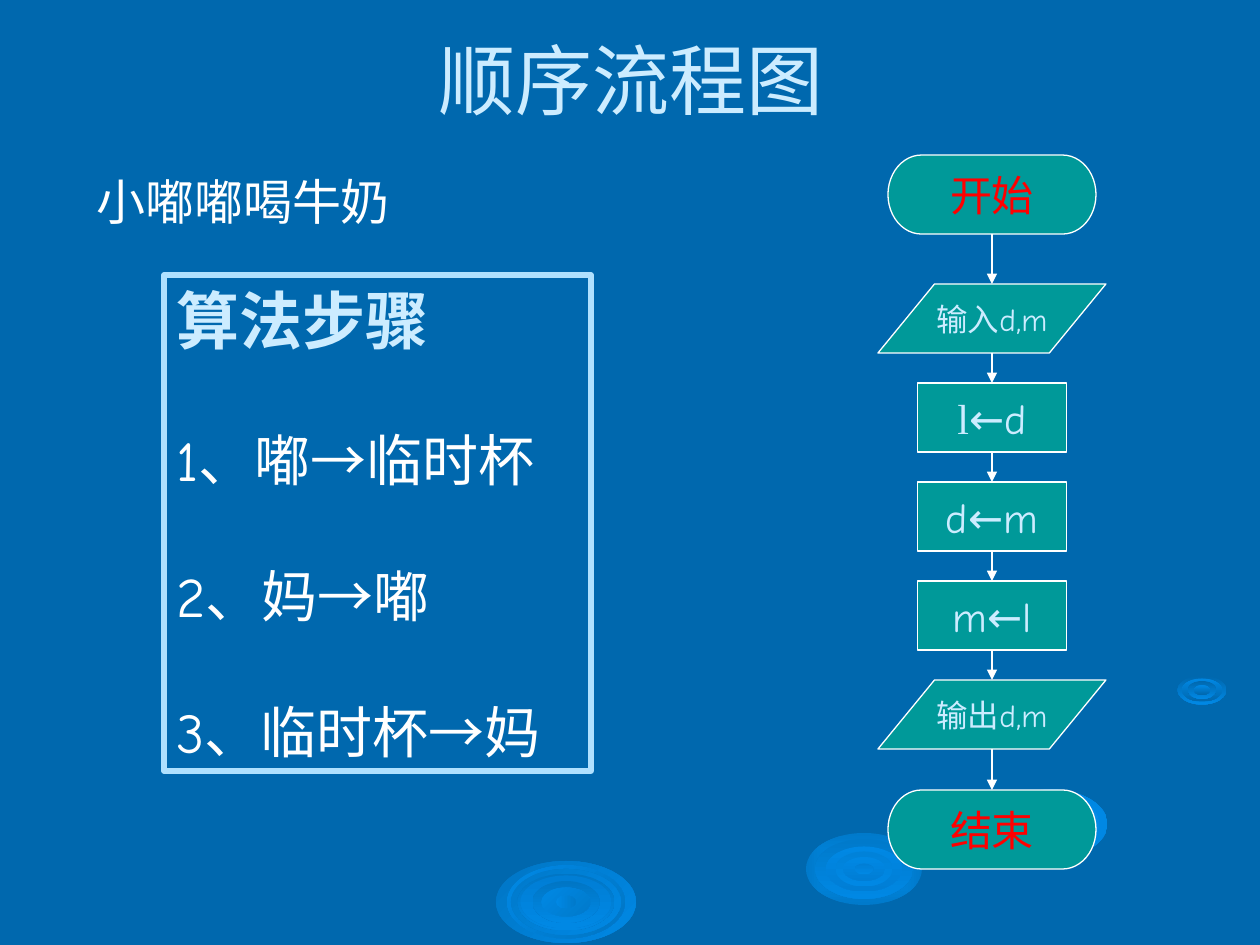
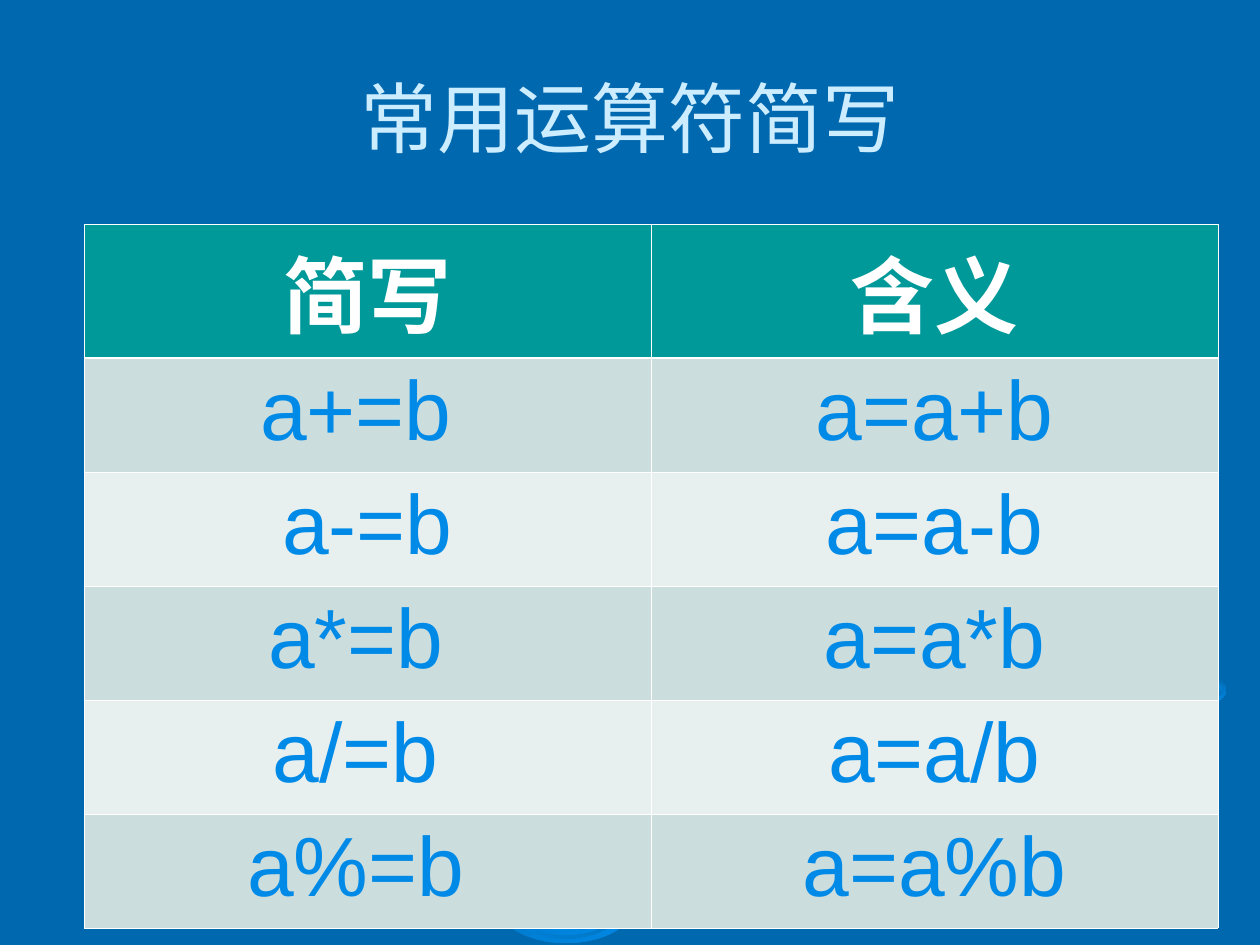
from dataclasses import dataclass
from itertools import pairwise

from lxml.etree import SubElement
from pptx import Presentation
from pptx.dml.color import RGBColor
from pptx.enum.shapes import MSO_CONNECTOR, MSO_SHAPE
from pptx.enum.text import MSO_ANCHOR, PP_ALIGN
from pptx.oxml import parse_xml
from pptx.oxml.ns import nsdecls, qn
from pptx.util import Emu, Pt


@dataclass(frozen=True)
class Theme:
    background: str = "0068AE"
    title: str = "CCECFF"
    body: str = "FFFFFF"
    accent: str = "009999"
    alert: str = "FF0000"
    frame: str = "AFE1FF"
    formula: str = "008AE8"
    bands: tuple = ("CBDDDD", "E7EFEF")
    title_font: str = "Arial"
    body_font: str = "Comic Neue"
    serif_font: str = "Times New Roman"
    title_size: int = 44
    table_size: int = 48
    heading_size: int = 36
    step_size: int = 32
    topic_size: int = 28
    node_size: int = 24
    data_size: int = 18
    thin: float = 0.75
    thick: float = 3
    cell_line: float = 0.45
    header_line: float = 1.47


THEME = Theme()
SLIDE_SIZE = (1260, 945)
TITLE_SIZE = (1134, 158)

SEQUENCE_TITLE = "顺序流程图"
TOPIC = "小嘟嘟喝牛奶"
STEPS_HEADING = "算法步骤"
STEPS = ["1、嘟→临时杯", "2、妈→嘟", "3、临时杯→妈"]

# Node: kind, top, list of (text, font)
FLOW_CENTRE = 992
FLOW = [
    ("terminal", 155, [("开始", THEME.serif_font)]),
    ("data", 284, [("输入d,m", THEME.body_font)]),
    ("process", 383, [("l", THEME.serif_font), ("←d", THEME.body_font)]),
    ("process", 482, [("d←m", THEME.body_font)]),
    ("process", 581, [("m←l", THEME.body_font)]),
    ("data", 680, [("输出d,m", THEME.body_font)]),
    ("terminal", 790, [("结束", THEME.serif_font)]),
]
# Kind: preset, width, height, type size, text colour
NODE_KINDS = {
    "terminal": (MSO_SHAPE.FLOWCHART_TERMINATOR, 208, 79, THEME.node_size, THEME.alert),
    "data": (MSO_SHAPE.PARALLELOGRAM, 228, 69, THEME.data_size, THEME.title),
    "process": (MSO_SHAPE.FLOWCHART_PROCESS, 149, 69, THEME.node_size, THEME.title),
}

OPERATOR_TITLE = "常用运算符简写"
OPERATORS = [
    ("简写", "含义"),
    ("a+=b ", "a=a+b"),
    ("a-=b", "a=a-b"),
    ("a*=b ", "a=a*b"),
    ("a/=b ", "a=a/b"),
    ("a%=b ", "a=a%b"),
]
COLUMN_WIDTH = 567
HEADER_HEIGHT, ROW_HEIGHT = 134, 114

# Ripple: centre, then rings of (width, height, first colour, last colour, angle);
# an angle of None makes the gradient spread from the centre.
RIPPLES = [
    ((864, 869), [
        (116, 72, "0088E4", "007ACB", None),
        (98, 60, "007ACB", "0088E4", 90),
        (76, 45, "0088E4", "007ED5", 90),
        (57, 35, "0082D9", "0088E4", 90),
        (42, 24, "0088E4", "007ED5", 90),
        (19, 11, "007ED5", "0088E4", 90),
    ]),
    ((566, 902), [
        (140, 82, "0076C5", "0088E4", 45),
        (118, 73, "0088E4", "0076C5", 45),
        (110, 66, "007ACB", "0088E4", 45),
        (97, 57, "0076C5", "0088E4", 90),
        (91, 53, "007ED5", "0088E4", 90),
        (67, 42, "0076C5", "0088E4", 90),
        (49, 29, "0088E4", "007ACB", 45),
        (20, 13, "0088E4", "007ACB", 0),
    ]),
    ((1051, 824), [
        (113, 69, "007ED5", "0088E4", 0),
        (97, 59, "0A8CE5", "0088E4", 90),
        (84, 50, "0088E4", "007ED5", 90),
        (66, 39, "007ED5", "0088E4", 90),
        (49, 30, "0088E4", "007ED5", 90),
        (28, 18, "0082D9", "0088E4", 90),
    ]),
    ((1202, 690), [
        (49, 29, "0068AE", "0088E4", 90),
        (40, 23, "0088E4", "0068AE", 90),
        (28, 18, "0068AE", "0088E4", 90),
        (16, 10, "0088E4", "0068AE", 90),
    ]),
]


def px(length):
    return Emu(round(length * 914400 / 126))


def rgb(colour):
    return RGBColor.from_string(colour)


def add_span(para, text, font, size, colour, bold=False):
    span = para.add_run()
    span.text = text
    span.font.name = font
    span.font.size = Pt(size)
    span.font.bold = bold
    span.font.color.rgb = rgb(colour)


def set_line(line, colour, width):
    line.color.rgb = rgb(colour)
    line.width = Pt(width)


def add_box(page, left, top, width, height):
    box = page.shapes.add_textbox(px(left), px(top), px(width), px(height))
    box.text_frame.word_wrap = True
    return box


def add_centred_shape(page, preset, centre, middle, width, height):
    shape = page.shapes.add_shape(
        preset, px(centre - width / 2), px(middle - height / 2), px(width), px(height))
    shape.shadow.inherit = False
    return shape


def add_ring(page, centre, middle, width, height, first, last, angle):
    ring = add_centred_shape(page, MSO_SHAPE.OVAL, centre, middle, width, height)
    ring.line.fill.background()
    ring.fill.gradient()
    for stop, colour in zip(ring.fill.gradient_stops, (first, last)):
        stop.color.rgb = rgb(colour)
    if angle is not None:
        ring.fill.gradient_angle = (360 - angle) % 360
        return
    gradient = ring.element.spPr.find(qn("a:gradFill"))
    gradient.replace(gradient.find(qn("a:lin")), parse_xml(
        f'<a:path {nsdecls("a")} path="rect">'
        '<a:fillToRect l="50000" t="50000" r="50000" b="50000"/></a:path>'))


def add_page(deck, title, title_left, title_top):
    """Add a page with the shared background, ripples and title."""
    page = deck.slides.add_slide(deck.slide_layouts[6])
    page.background.fill.solid()
    page.background.fill.fore_color.rgb = rgb(THEME.background)
    for centre, rings in RIPPLES:
        for ring in rings:
            add_ring(page, *centre, *ring)
    frame = add_box(page, title_left, title_top, *TITLE_SIZE).text_frame
    frame.vertical_anchor = MSO_ANCHOR.MIDDLE
    para = frame.paragraphs[0]
    para.alignment = PP_ALIGN.CENTER
    add_span(para, title, THEME.title_font, THEME.title_size, THEME.title)
    return page


def add_node(page, kind, top, spans):
    preset, width, height, size, colour = NODE_KINDS[kind]
    node = add_centred_shape(page, preset, FLOW_CENTRE, top + height / 2, width, height)
    if kind == "data":
        node.adjustments[0] = 0.82
    node.fill.solid()
    node.fill.fore_color.rgb = rgb(THEME.accent)
    set_line(node.line, THEME.body, THEME.thin)
    frame = node.text_frame
    frame.word_wrap = False
    frame.vertical_anchor = MSO_ANCHOR.MIDDLE
    para = frame.paragraphs[0]
    para.alignment = PP_ALIGN.CENTER
    for text, font in spans:
        add_span(para, text, font, size, colour)
    return node


def add_arrow(page, upper, lower):
    """Draw an arrow between two nodes, joined wherever the side is a rectangle's."""
    centre = px(FLOW_CENTRE)
    arrow = page.shapes.add_connector(
        MSO_CONNECTOR.STRAIGHT, centre, upper.top + upper.height, centre, lower.top)
    if upper.auto_shape_type != MSO_SHAPE.PARALLELOGRAM:
        arrow.begin_connect(upper, 2)
    if lower.auto_shape_type != MSO_SHAPE.PARALLELOGRAM:
        arrow.end_connect(lower, 0)
    set_line(arrow.line, THEME.body, THEME.thin)
    properties = arrow.element.spPr
    SubElement(properties.find(qn("a:ln")), qn("a:tailEnd"), type="triangle")
    SubElement(properties, qn("a:effectLst"))


def add_steps(page):
    box = add_box(page, 164, 275, 427, 496)
    set_line(box.line, THEME.frame, THEME.thick)
    frame = box.text_frame
    add_span(frame.paragraphs[0], STEPS_HEADING, THEME.body_font,
             THEME.heading_size, THEME.title, bold=True)
    for step in STEPS:
        para = frame.add_paragraph()
        para.line_spacing = 1.5
        para.space_before = Pt(20)
        add_span(para, step, THEME.body_font, THEME.step_size, THEME.body)


def add_sequence_page(deck):
    page = add_page(deck, SEQUENCE_TITLE, 64, 0)
    topic = add_box(page, 84, 165, 725, 72)
    add_span(topic.text_frame.paragraphs[0], TOPIC, THEME.body_font,
             THEME.topic_size, THEME.body)
    add_steps(page)
    nodes = [add_node(page, *node) for node in FLOW]
    for upper, lower in pairwise(nodes):
        add_arrow(page, upper, lower)


def set_borders(cell, top, bottom):
    sides = {"L": THEME.cell_line, "R": THEME.cell_line, "T": top, "B": bottom}
    for position, (side, width) in enumerate(sides.items()):
        border = parse_xml(
            f'<a:ln{side} {nsdecls("a")} w="{Pt(width)}"><a:solidFill>'
            f'<a:srgbClr val="{THEME.body}"/></a:solidFill></a:ln{side}>')
        cell._tc.get_or_add_tcPr().insert(position, border)


def add_operator_page(deck):
    page = add_page(deck, OPERATOR_TITLE, 63, 38)
    rows, columns = len(OPERATORS), len(OPERATORS[0])
    height = HEADER_HEIGHT + ROW_HEIGHT * (rows - 1)
    table = page.shapes.add_table(
        rows, columns, px(84), px(224), px(COLUMN_WIDTH * columns), px(height)).table
    table.first_row = table.horz_banding = False
    for row, texts in enumerate(OPERATORS):
        header = row == 0
        table.rows[row].height = px(HEADER_HEIGHT if header else ROW_HEIGHT)
        for column, text in enumerate(texts):
            cell = table.cell(row, column)
            cell.fill.solid()
            cell.fill.fore_color.rgb = rgb(
                THEME.accent if header else THEME.bands[(row - 1) % 2])
            set_borders(cell,
                        top=THEME.header_line if row == 1 else THEME.cell_line,
                        bottom=THEME.header_line if header else THEME.cell_line)
            para = cell.text_frame.paragraphs[0]
            para.alignment = PP_ALIGN.CENTER
            add_span(para, text, THEME.title_font, THEME.table_size,
                     THEME.body if header else THEME.formula, bold=header)


def main():
    deck = Presentation()
    deck.slide_width, deck.slide_height = map(px, SLIDE_SIZE)
    add_sequence_page(deck)
    add_operator_page(deck)
    deck.save("out.pptx")


if __name__ == "__main__":
    main()
